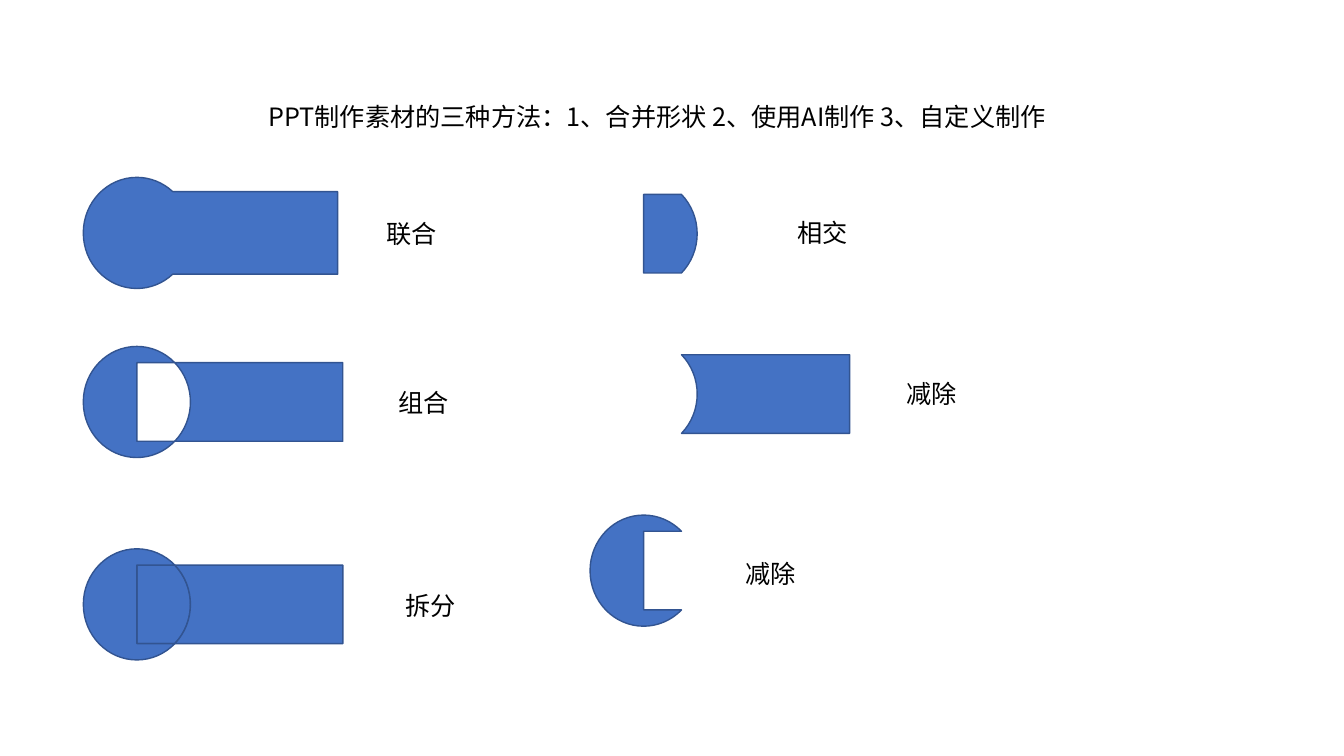
import math

from lxml import etree
from pptx import Presentation, util as u
from pptx.dml.color import RGBColor
from pptx.enum import text
from pptx.oxml import ns

BLUE = RGBColor(0x44, 0x72, 0xC4)
NAVY = RGBColor(0x32, 0x54, 0x91)
BLACK = RGBColor(0, 0, 0)
FONT = "Noto Sans CJK SC"
RADIUS_X, RADIUS_Y = 1.35, 1.4
BAR_LENGTH, BAR_HALF = 5.19, 0.99
UNION_LENGTH, UNION_HALF = 5.06, 1.04


def rim(angle):
    return RADIUS_X * math.cos(angle), RADIUS_Y * math.sin(angle)


def bezier(start, end):
    reach = 4 / 3 * math.tan((end - start) / 4)
    handles = []
    for angle, sign in ((start, 1), (end, -1)):
        x, y = rim(angle)
        handles.append((x - sign * reach * RADIUS_X * math.sin(angle),
                        y + sign * reach * RADIUS_Y * math.cos(angle)))
    return handles + [rim(end)]


def arc(start, end):
    low, high = min(start, end), max(start, end)
    quarters = [i * math.pi / 2 for i in range(5)]
    stops = [low] + [q for q in quarters if low < q < high] + [high]
    if start > end:
        stops.reverse()
    return [[rim(start)]] + [bezier(a, b) for a, b in zip(stops, stops[1:])]


def crossing(half):
    return math.asin(half / RADIUS_Y)


def outer_arc(half):
    return arc(2 * math.pi - crossing(half), crossing(half))


def union(length, half):
    return outer_arc(half) + [[(length, half)], [(length, -half)]]


def overlap(half):
    angle = crossing(half)
    return [[(0, -half)]] + arc(-angle, angle) + [[(0, half)]]


def bar_rest(length, half):
    angle = crossing(half)
    return [[(length, -half)], [(length, half)]] + arc(angle, -angle)


def circle_rest(half):
    return outer_arc(half) + [[(0, half)], [(0, -half)]]


def style_text(frame):
    frame.vertical_anchor = text.MSO_ANCHOR.MIDDLE
    for run in frame.paragraphs[0].runs:
        run.font.size = u.Pt(18)
        run.font.name = FONT
        run.font.color.rgb = BLACK
        east_asian = etree.SubElement(run.font._element, ns.qn("a:ea"))
        east_asian.set("typeface", FONT)


def add_heading(slide, left, top, width, height):
    heading = slide.shapes.title
    heading.left, heading.top = u.Cm(left), u.Cm(top)
    heading.width, heading.height = u.Cm(width), u.Cm(height)
    frame = heading.text_frame
    frame.text = "PPT制作素材的三种方法：1、合并形状 2、使用AI制作 3、自定义制作"
    frame.word_wrap = True
    frame.auto_size = text.MSO_AUTO_SIZE.NONE
    style_text(frame)
    frame.vertical_anchor = text.MSO_ANCHOR.TOP
    frame.paragraphs[0].alignment = text.PP_ALIGN.LEFT
    frame.paragraphs[0].line_spacing = u.Pt(21.4)


def bend(piece, segments):
    lines = iter(list(piece._element.iter(ns.qn("a:lnTo"))))
    for segment in segments:
        sides = [next(lines) for _ in segment]
        if len(sides) == 3:
            curve = etree.Element(ns.qn("a:cubicBezTo"))
            sides[0].addprevious(curve)
            for side in sides:
                curve.append(side[0])
                side.getparent().remove(side)


def add_piece(slide, centre_x, centre_y, contours):
    builder = None
    for contour in contours:
        points = [(u.Cm(x), u.Cm(y)) for segment in contour for x, y in segment]
        if builder is None:
            builder = slide.shapes.build_freeform(*points[0])
        else:
            builder.move_to(*points[0])
        builder.add_line_segments(points[1:], close=True)
    piece = builder.convert_to_shape(u.Cm(centre_x), u.Cm(centre_y))
    bend(piece, [segment for contour in contours for segment in contour[1:]])
    piece.shadow.inherit = False
    piece.fill.solid()
    piece.fill.fore_color.rgb = BLUE
    piece.line.color.rgb = NAVY
    piece.line.width = u.Pt(1)


def add_example(slide, centre_x, centre_y, pieces, name, name_x, name_y):
    for contours in pieces:
        add_piece(slide, centre_x, centre_y, contours)
    label = slide.shapes.add_textbox(
        u.Cm(centre_x + name_x), u.Cm(centre_y + name_y), u.Cm(1.8), u.Cm(1.02))
    label.text_frame.text = name
    label.text_frame.word_wrap = False
    style_text(label.text_frame)


def build_slide(deck):
    slide = deck.slides.add_slide(deck.slide_layouts.get_by_name("Title Only"))
    add_heading(slide, 6.51, 2.43, 20.83, 1.02)
    joined = union(UNION_LENGTH, UNION_HALF)
    lens = overlap(BAR_HALF)
    bar = bar_rest(BAR_LENGTH, BAR_HALF)
    crescent = circle_rest(BAR_HALF)
    left_x, right_x = 3.45, 16.22
    examples = [
        (left_x, 5.87, [[joined]], "联合", 6.04, -0.49),
        (left_x, 10.13, [[bar, crescent]], "组合", 6.35, -0.5),
        (left_x, 15.23, [[lens], [crescent], [bar]], "拆分", 6.51, -0.49),
        (right_x, 5.89, [[lens]], "相交", 3.62, -0.53),
        (right_x, 9.93, [[bar]], "减除", 6.38, -0.53),
        (right_x, 14.38, [[crescent]], "减除", 2.31, -0.44),
    ]
    for example in examples:
        add_example(slide, *example)


deck = Presentation()
deck.slide_width, deck.slide_height = u.Cm(33.87), u.Cm(19.05)
build_slide(deck)
deck.save("out.pptx")
